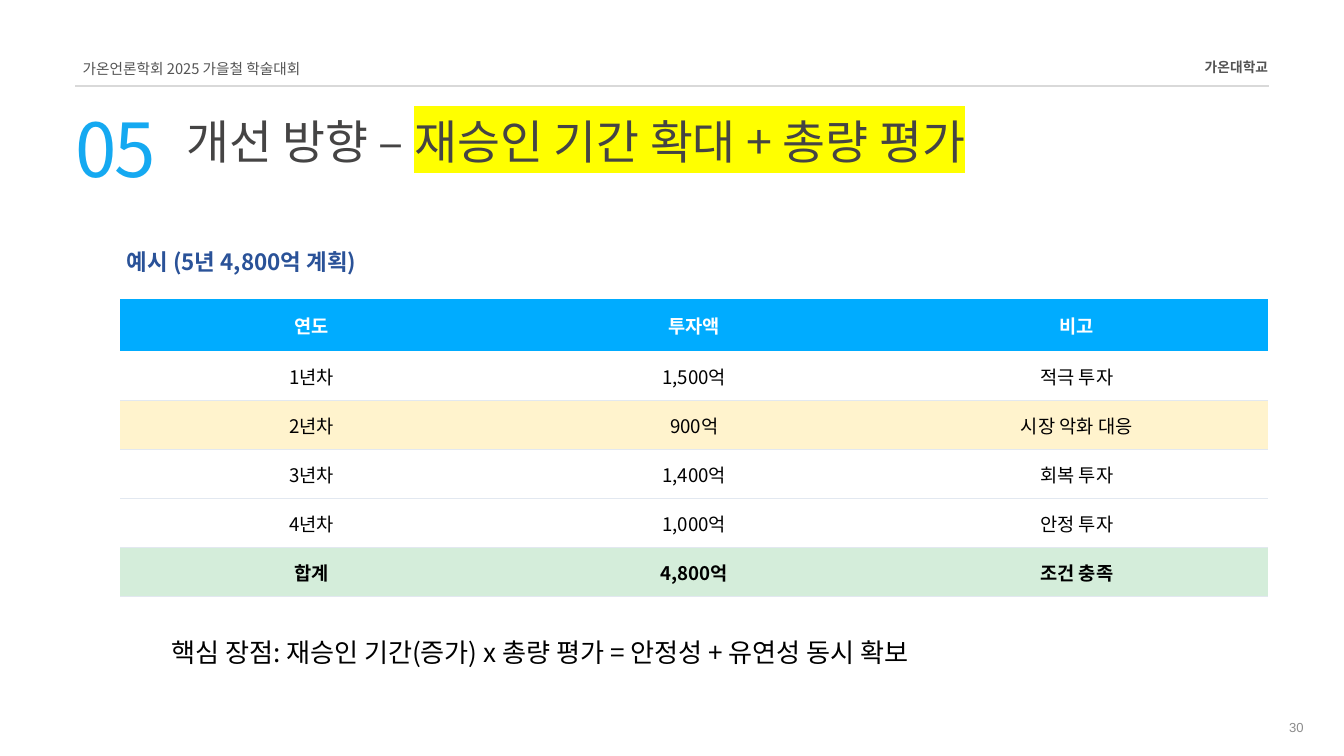
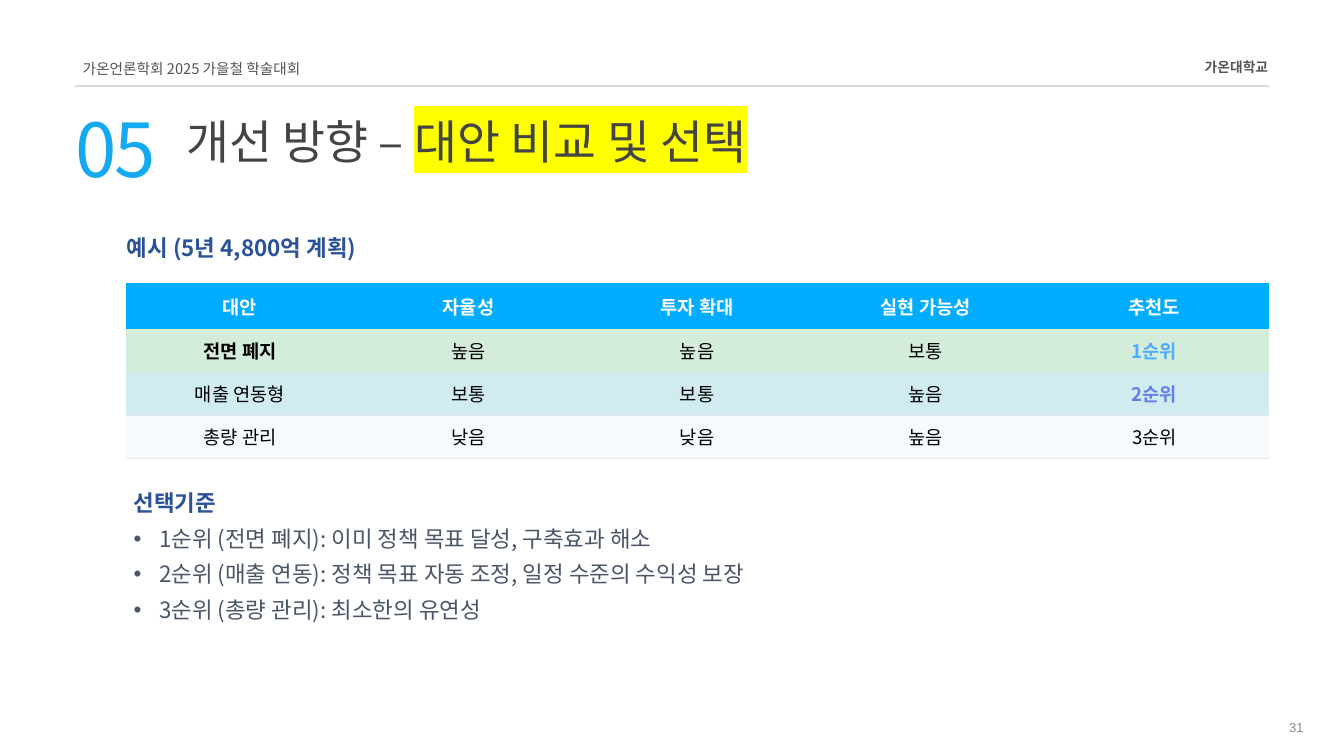
from lxml import etree
from pptx import Presentation, util as u
from pptx.dml.color import RGBColor
from pptx.enum import shapes, text
from pptx.oxml.ns import qn

SANS = "Noto Sans CJK KR"
BLUE, NAVY, SKY = "00ACFF", "2A5298", "15A9F1"
DARK, GREY, SLATE, PALE = "454444", "545454", "4A5568", "8C8C8C"
RULE, BORDER, MARK = "D9D9D9", "E2E8F0", "FFFF00"
BLACK, WHITE = "000000", "FFFFFF"
GREEN, CREAM, AQUA, ICE = "D4EDDA", "FFF3CD", "D1ECF1", "F7FAFC"
NO_GRID_STYLE = "{2D5ABB26-0587-4C30-8999-92F81FD0307C}"
RIGHT, CENTER = text.PP_ALIGN.RIGHT, text.PP_ALIGN.CENTER
rgb = RGBColor.from_string


def style(font, size, color, bold=False, name=SANS):
    font.size, font.bold, font.name = u.Pt(size), bold, name
    font.color.rgb = rgb(color)
    etree.SubElement(font._element, qn("a:ea"), typeface=name)


def add_text(slide, box, words, size, color, bold=False, name=SANS,
             align=None, spacing=0.9, inset=(0.1, 0.05)):
    frame = slide.shapes.add_textbox(*map(u.Inches, box)).text_frame
    frame.word_wrap = True
    frame.margin_left = frame.margin_right = u.Inches(inset[0])
    frame.margin_top = frame.margin_bottom = u.Inches(inset[1])
    line = frame.paragraphs[0]
    line.text, line.alignment, line.line_spacing = words, align, spacing
    style(line.font, size, color, bold, name)
    return frame


# Content of each slide; table rows are (fill, cells)
pages = [
    dict(number="30", topic="재승인 기간 확대 + 총량 평가", example_top=3.69,
         table=(1.79, 4.45, 17.08), heights=(0.78, 0.73),
         rows=[(BLUE, ["연도", "투자액", "비고"]),
               (None, ["1년차", "1,500억", "적극 투자"]),
               (CREAM, ["2년차", "900억", "시장 악화 대응"]),
               (None, ["3년차", "1,400억", "회복 투자"]),
               (None, ["4년차", "1,000억", "안정 투자"]),
               (GREEN, ["합계", "4,800억", "조건 충족"])],
         emphasis={(5, col): BLACK for col in range(3)}),
    dict(number="31", topic="대안 비교 및 선택", example_top=3.48,
         table=(1.87, 4.21, 17.01), heights=(0.69, 0.64),
         rows=[(BLUE, ["대안", "자율성", "투자 확대", "실현 가능성", "추천도"]),
               (GREEN, ["전면 폐지", "높음", "높음", "보통", "1순위"]),
               (AQUA, ["매출 연동형", "보통", "보통", "높음", "2순위"]),
               (ICE, ["총량 관리", "낮음", "낮음", "높음", "3순위"])],
         emphasis={(1, 0): BLACK, (1, 4): "4FACFE", (2, 4): "667EEA"}),
]

prs = Presentation()
prs.slide_width, prs.slide_height = u.Inches(20), u.Inches(11.25)
slides = []

for page in pages:
    slide = prs.slides.add_slide(prs.slide_layouts[5])
    slides.append(slide)

    # Header band
    rule = slide.shapes.add_connector(
        shapes.MSO_CONNECTOR.STRAIGHT, *map(u.Inches, (1.12, 1.28, 18.88, 1.28)))
    rule.line.color.rgb, rule.line.width = rgb(RULE), u.Pt(1.5)
    etree.SubElement(rule._element.spPr, qn("a:effectLst"))
    add_text(slide, (1.23, 0.89, 3.6, 0.24), "가온언론학회 2025 가을철 학술대회",
             15.7, GREY, spacing=u.Pt(18.9), inset=(0, 0))
    add_text(slide, (16.55, 0.87, 2.32, 0.23), "가온대학교", 14.7, GREY,
             bold=True, align=RIGHT, spacing=u.Pt(17.7), inset=(0, 0))

    # Section number and title
    section = add_text(slide, (1.12, 1.53, 1.64, 1.24), "05", 79.8, SKY,
                       spacing=u.Pt(95.8), inset=(0, 0))
    section.paragraphs[0].font._element.set("spc", "-240")
    title = slide.shapes.title
    title.left, title.top, title.width, title.height = map(
        u.Inches, (2.77, 1.78, 15.56, 0.84))
    heading = title.text_frame
    heading.margin_left = heading.margin_right = 0
    heading.margin_top = heading.margin_bottom = 0
    heading.vertical_anchor = text.MSO_ANCHOR.TOP
    heading.auto_size = text.MSO_AUTO_SIZE.NONE
    heading_line = heading.paragraphs[0]
    heading_line.alignment, heading_line.line_spacing = text.PP_ALIGN.LEFT, 0.9
    for words in ("개선 방향 – ", page["topic"]):
        run = heading_line.add_run()
        run.text = words
        style(run.font, 50, DARK)
    highlight = etree.Element(qn("a:highlight"))
    etree.SubElement(highlight, qn("a:srgbClr"), val=MARK)
    run.font._element.find(qn("a:latin")).addprevious(highlight)

    # Example table
    add_text(slide, (1.79, page["example_top"], 12.46, 0.5),
             "예시 (5년 4,800억 계획)", 24, NAVY, bold=True)
    rows, (header_height, body_height) = page["rows"], page["heights"]
    total_height = header_height + body_height * (len(rows) - 1)
    table = slide.shapes.add_table(
        len(rows), len(rows[0][1]),
        *map(u.Inches, (*page["table"], total_height))).table
    table.first_row = table.horz_banding = False
    table._tbl.tblPr.find(qn("a:tableStyleId")).text = NO_GRID_STYLE
    for r, (fill, values) in enumerate(rows):
        table.rows[r].height = u.Inches(body_height if r else header_height)
        for c, value in enumerate(values):
            cell = table.cell(r, c)
            cell.vertical_anchor = text.MSO_ANCHOR.MIDDLE
            cell.margin_left = cell.margin_right = u.Inches(0.08 if r else 0.1)
            cell.margin_top = cell.margin_bottom = u.Inches(0.08 if r else 0.1)
            if fill:
                cell.fill.solid()
                cell.fill.fore_color.rgb = rgb(fill)
            else:
                cell.fill.background()
            line = cell.text_frame.paragraphs[0]
            line.text, line.alignment = value, CENTER
            color = page["emphasis"].get((r, c), BLACK) if r else WHITE
            style(line.font, 20, color, bold=r == 0 or (r, c) in page["emphasis"])
            if r:
                border = etree.Element(qn("a:lnB"), w=str(u.Pt(0.75)))
                border_fill = etree.SubElement(border, qn("a:solidFill"))
                etree.SubElement(border_fill, qn("a:srgbClr"), val=BORDER)
                cell._tc.get_or_add_tcPr().insert(0, border)

    # Page number
    footer = add_text(slide, (17.17, 10.62, 2.33, 0.4), page["number"], 14, PALE,
                      name="Arial", align=RIGHT, spacing=1.0)
    footer.vertical_anchor = text.MSO_ANCHOR.MIDDLE

# Key advantage below the investment plan
add_text(slides[0], (2.45, 9.47, 14.73, 0.57),
         "핵심 장점: 재승인 기간(증가) x 총량 평가 = 안정성 + 유연성 동시 확보", 28, BLACK)

# Selection criteria below the comparison
criteria = add_text(slides[1], (1.89, 7.28, 12.46, 2.35), "선택기준", 24, NAVY, bold=True)
criteria.paragraphs[0].space_after = u.Pt(12)
for words in ("1순위 (전면 폐지): 이미 정책 목표 달성, 구축효과 해소",
              "2순위 (매출 연동): 정책 목표 자동 조정, 일정 수준의 수익성 보장",
              "3순위 (총량 관리): 최소한의 유연성"):
    reason = criteria.add_paragraph()
    reason.text, reason.line_spacing, reason.space_after = words, 0.9, u.Pt(12)
    style(reason.font, 24, SLATE)
    indent = u.Inches(0.38)
    layout = reason._p.get_or_add_pPr()
    layout.set("marL", str(indent))
    layout.set("indent", str(-indent))
    for tag, attribute, value in (("a:buFont", "typeface", "Arial"),
                                  ("a:buChar", "char", "•")):
        reason.font._element.addprevious(etree.Element(qn(tag), {attribute: value}))

prs.save("out.pptx")
